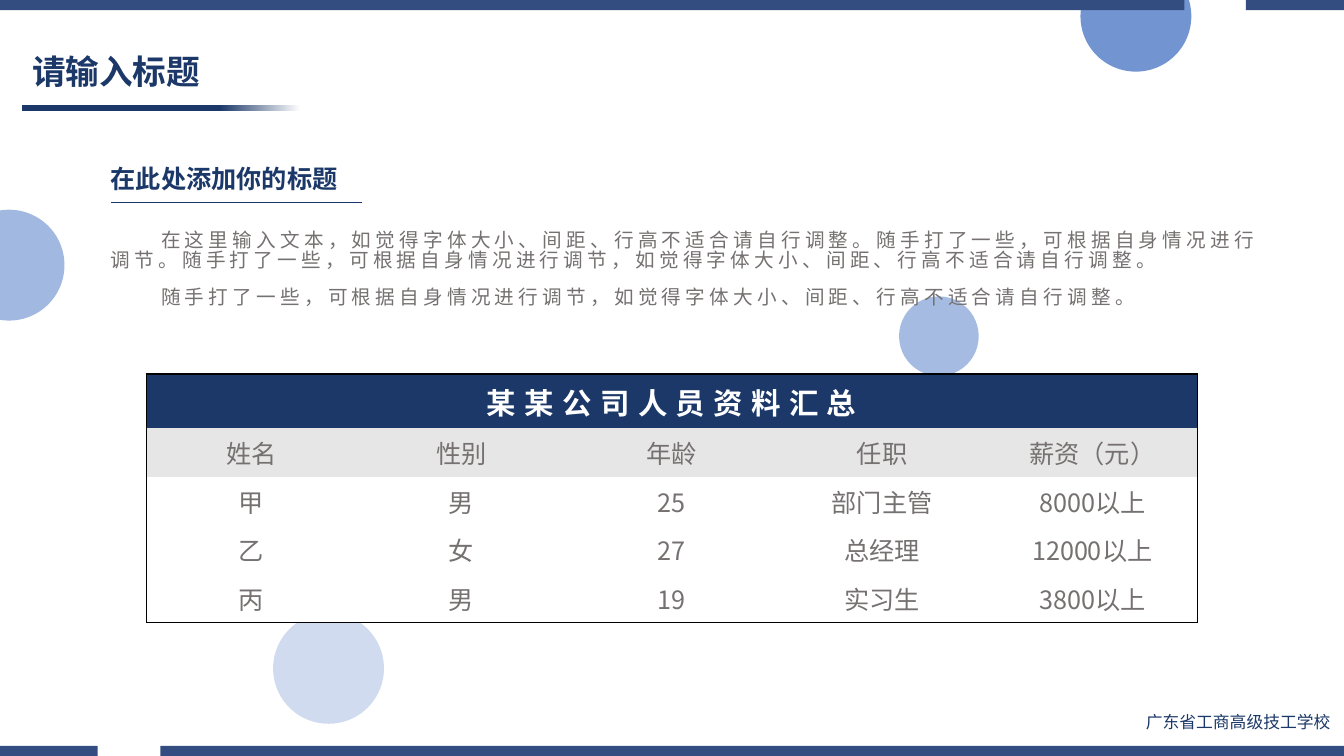
from lxml import etree
from pptx import Presentation, util as u
from pptx.dml.color import RGBColor
from pptx.enum import shapes, text
from pptx.oxml import ns

FONT = "Noto Sans CJK SC"
NAVY, BLUE, BAR, GREY = "1B3868", "4472C4", "334D80", "767171"
WHITE, SILVER, BLACK = "FFFFFF", "E7E6E6", "000000"
WIDTH, HEIGHT, BAR_HEIGHT = 960, 540, 7.2

CIRCLES = [
    (195.1, 437.8, 79.2, 25),
    (-33.1, 149.8, 79.2, 50),
    (771.8, -28, 79.2, 75),
    (642.2, 211.7, 56.9, 48),
]
BARS = [
    {"top": HEIGHT - BAR_HEIGHT, "gap": (69.8, 114.5)},
    {"top": 0, "gap": (846, 889.9)},
]
FADE = (15.8, 75.2, 198.7, 3.9)
RULE = (79.2, 144.7, 258.5)

TEXTS = [
    {"lines": ["广东省工商高级技工学校"], "box": (811.4, 506.9, 148, 21.6),
     "font": {"size": u.Pt(12)}, "color": NAVY},
    {"lines": ["请输入标题"], "box": (15.8, 32.4, 257.8, 40.3),
     "font": {"size": u.Pt(24), "bold": True}, "color": NAVY,
     "line_spacing": 0.9, "anchor": text.MSO_ANCHOR.MIDDLE},
    {"lines": [
        "在这里输入文本，如觉得字体大小、间距、行高不适合请自行调整。随手打了一些，可根据自身情况进行调节。"
        "随手打了一些，可根据自身情况进行调节，如觉得字体大小、间距、行高不适合请自行调整。",
        "随手打了一些，可根据自身情况进行调节，如觉得字体大小、间距、行高不适合请自行调整。"],
     "box": (72, 162, 844.6, 70.6), "font": {"size": u.Pt(14)}, "color": GREY,
     "tracking": 3, "indent": 36, "gap": 6},
    {"lines": ["在此处添加你的标题"], "box": (72, 116.6, 244.8, 28.8),
     "font": {"size": u.Pt(18), "bold": True}, "color": NAVY},
]

STAFF_TITLE = "某某公司人员资料汇总"
STAFF = [
    ("姓名", "性别", "年龄", "任职", "薪资（元）"),
    ("甲", "男", "25", "部门主管", "8000以上"),
    ("乙", "女", "27", "总经理", "12000以上"),
    ("丙", "男", "19", "实习生", "3800以上"),
]
STAFF_AT = (104.4, 267.1)
COLUMN, ROW = 150.2, 34.3
CELL = {"margin_left": u.Pt(8.6), "margin_right": u.Pt(8.6),
        "margin_top": u.Pt(4.3), "margin_bottom": u.Pt(4.3)}


def pts(values):
    return [u.Pt(value) for value in values]


def rgb(code):
    return RGBColor.from_string(code)


def child(parent, tag, **attributes):
    return etree.SubElement(parent, ns.qn(tag), attributes)


def assign(target, values):
    for name, value in values.items():
        setattr(target, name, value)


def write(paragraph, words, font, color, tracking=0):
    run = paragraph.add_run()
    run.text = words
    assign(run.font, {"name": FONT, **font})
    run.font.color.rgb = rgb(color)
    properties = run.font._element
    child(properties, "a:ea", typeface=FONT)
    if tracking:
        properties.set("spc", str(tracking * 100))


def paint(shape, color, opacity=100):
    shape.shadow.inherit = False
    shape.line.fill.background()
    shape.fill.solid()
    shape.fill.fore_color.rgb = rgb(color)
    if opacity < 100:
        tint = shape._element.spPr.find(".//" + ns.qn("a:srgbClr"))
        child(tint, "a:alpha", val=str(opacity * 1000))


def add_circle(slide, left, top, size, opacity):
    circle = slide.shapes.add_shape(shapes.MSO_SHAPE.OVAL, *pts((left, top, size, size)))
    paint(circle, BLUE, opacity)


def add_bar(slide, top, gap):
    bottom = top + BAR_HEIGHT
    outline = slide.shapes.build_freeform(u.Pt(0), u.Pt(top), scale=1.0)
    for start, end in ((0, gap[0]), (gap[1], WIDTH)):
        outline.move_to(*pts((start, top)))
        corners = [(end, top), (end, bottom), (start, bottom)]
        outline.add_line_segments([pts(corner) for corner in corners], close=True)
    paint(outline.convert_to_shape(), BAR)


def add_fade(slide):
    fade = slide.shapes.add_shape(shapes.MSO_SHAPE.RECTANGLE, *pts(FADE))
    paint(fade, NAVY)
    fade.fill.gradient()
    fade.fill.gradient_angle = 0
    for stop, position, color in zip(fade.fill.gradient_stops, (0.71, 1), (NAVY, WHITE)):
        stop.position = position
        stop.color.rgb = rgb(color)


def add_text(slide, lines, box, font, color, tracking=0, indent=0, gap=0,
             line_spacing=0.85, anchor=text.MSO_ANCHOR.TOP):
    frame = slide.shapes.add_textbox(*pts(box)).text_frame
    assign(frame, {"word_wrap": True, "vertical_anchor": anchor})
    for index, words in enumerate(lines):
        paragraph = frame.add_paragraph() if index else frame.paragraphs[0]
        assign(paragraph, {"line_spacing": line_spacing, "space_after": u.Pt(gap),
                           "space_before": u.Pt(gap if index else 0)})
        if indent:
            paragraph._p.get_or_add_pPr().set("indent", str(u.Pt(indent)))
        write(paragraph, words, font, color, tracking)


def set_borders(cell, edges):
    properties = cell._tc.get_or_add_tcPr()
    for side in "LRTB":
        border = child(properties, "a:ln" + side, w=str(u.Pt(1)))
        if edges[side]:
            child(child(border, "a:solidFill"), "a:srgbClr", val=BLACK)
        else:
            child(border, "a:noFill")


def add_staff(slide):
    rows, columns = len(STAFF) + 1, len(STAFF[0])
    size = (COLUMN * columns, ROW * rows)
    table = slide.shapes.add_table(rows, columns, *pts(STAFF_AT + size)).table
    assign(table, {"first_row": False, "horz_banding": False})
    table.cell(0, 0).merge(table.cell(0, columns - 1))
    for row in range(rows):
        for column in range(columns):
            cell = table.cell(row, column)
            set_borders(cell, {"L": column == 0, "T": row == 0, "B": row == rows - 1,
                               "R": column == columns - 1 or cell.is_merge_origin})
            assign(cell, CELL)
            cell.fill.solid()
            cell.fill.fore_color.rgb = rgb((NAVY, SILVER)[row] if row < 2 else WHITE)
            if cell.is_spanned:
                continue
            paragraph = cell.text_frame.paragraphs[0]
            paragraph.alignment = text.PP_ALIGN.CENTER
            if row == 0:
                write(paragraph, STAFF_TITLE, {"size": u.Pt(21), "bold": True}, WHITE, 6)
            else:
                write(paragraph, STAFF[row - 1][column],
                      {"size": u.Pt(18), "bold": False}, GREY)


def add_rule(slide):
    start, level, end = pts(RULE)
    rule = slide.shapes.add_connector(shapes.MSO_CONNECTOR.STRAIGHT, start, level, end, level)
    rule.line.color.rgb = rgb(NAVY)
    rule.line.width = u.Pt(0.5)
    child(rule._element.spPr, "a:effectLst")


def main():
    deck = Presentation()
    assign(deck, {"slide_width": u.Pt(WIDTH), "slide_height": u.Pt(HEIGHT)})
    slide = deck.slides.add_slide(deck.slide_layouts[6])
    for circle in CIRCLES:
        add_circle(slide, *circle)
    add_fade(slide)
    for bar in BARS:
        add_bar(slide, **bar)
    add_staff(slide)
    for block in TEXTS:
        add_text(slide, **block)
    add_rule(slide)
    deck.save("out.pptx")


if __name__ == "__main__":
    main()
